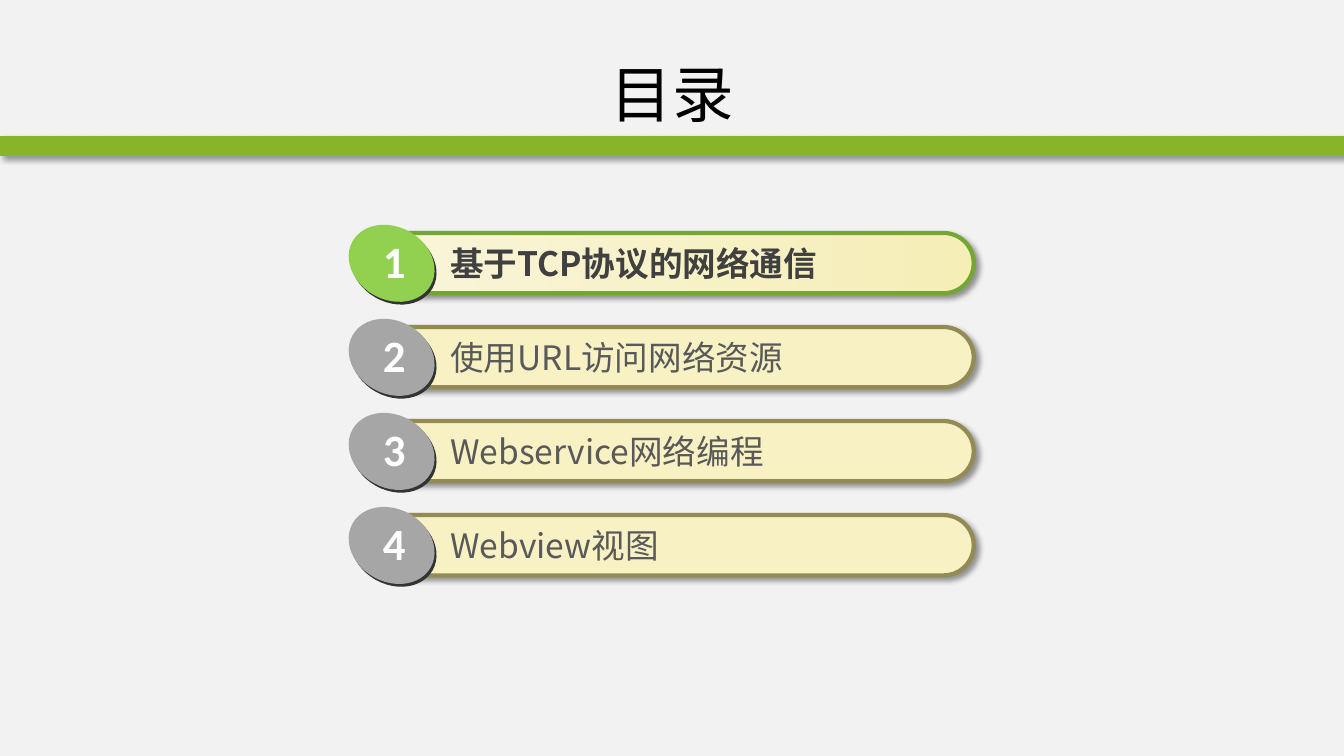
from lxml import etree
from pptx import Presentation
from pptx.dml.color import RGBColor
from pptx.enum.shapes import MSO_SHAPE
from pptx.enum.text import MSO_ANCHOR, MSO_AUTO_SIZE, PP_ALIGN
from pptx.oxml import parse_xml
from pptx.oxml.ns import qn
from pptx.util import Cm, Pt

RECT, ROUND, OVAL = MSO_SHAPE.RECTANGLE, MSO_SHAPE.ROUNDED_RECTANGLE, MSO_SHAPE.OVAL
CENTER, MIDDLE = PP_ALIGN.CENTER, MSO_ANCHOR.MIDDLE
FIT = MSO_AUTO_SIZE.SHAPE_TO_FIT_TEXT
CJK = "Noto Sans CJK SC"
SHADOW = ('<a:outerShdw xmlns:a="http://schemas.openxmlformats.org/drawingml/2006/main" '
          'blurRad="50800" dist="38100" dir="2700000" algn="tl" rotWithShape="0">'
          '<a:srgbClr val="000000"><a:alpha val="40000"/></a:srgbClr></a:outerShdw>')


def add_shape(shapes, kind, x, y, w, h, fill, line=None, shadow=False):
    sp = shapes.add_shape(kind, Cm(x), Cm(y), Cm(w), Cm(h))
    sp.fill.solid()
    sp.fill.fore_color.rgb = RGBColor.from_string(fill)
    if line:
        sp.line.color.rgb = RGBColor.from_string(line)
        sp.line.width = Pt(3)
    else:
        sp.line.fill.background()
    sp.shadow.inherit = False
    if shadow:
        sp._element.spPr.find(qn("a:effectLst")).append(parse_xml(SHADOW))
    return sp


def set_text(tf, text, size, color, font=CJK, bold=False, align=None, wrap=True):
    tf.word_wrap = wrap
    p = tf.paragraphs[0]
    p.alignment = align
    r = p.add_run()
    r.text = text
    r.font.size, r.font.bold, r.font.name = Pt(size), bold, font
    r.font.color.rgb = RGBColor.from_string(color)
    etree.SubElement(r._r.rPr, qn("a:ea"), typeface=font)


prs = Presentation()
prs.slide_width, prs.slide_height = Cm(33.87), Cm(19.05)
s = prs.slides.add_slide(prs.slide_layouts[5])
s.background.fill.solid()
s.background.fill.fore_color.rgb = RGBColor.from_string("F2F2F2")

# Title and the band below it
add_shape(s.shapes, RECT, 0, 3.43, 33.87, 0.5, "88B429", shadow=True)
title = s.shapes.title
title.left, title.top, title.width, title.height = Cm(1.7), Cm(0.76), Cm(30.48), Cm(3.18)
title.text_frame.vertical_anchor = MIDDLE
set_text(title.text_frame, "目录", 44, "000000", align=CENTER)

# Contents: one group per chapter, the first one highlighted
chapters = ["基于TCP协议的网络通信", "使用URL访问网络资源", "Webservice网络编程", "Webview视图"]
for i, chapter in enumerate(chapters):
    current = i == 0
    y = 5.87 + 2.37 * i
    shapes = s.shapes.add_group_shape().shapes

    # Bar with the chapter name
    bar = add_shape(shapes, ROUND, 9.3, y, 15.24, 1.52, "F7F1C4",
                    line="74A731" if current else "948A54", shadow=True)
    bar.adjustments[0] = 0.5
    if current:
        bar.fill.gradient()
        bar.fill.gradient_angle = 0
        for stop, color in zip(bar.fill.gradient_stops, ["F9F5D9", "F5EEB7"]):
            stop.color.rgb = RGBColor.from_string(color)
    name = shapes.add_textbox(Cm(11.1), Cm(y + 0.13), Cm(12.93), Cm(1.28))
    set_text(name.text_frame, chapter, 24, "404040" if current else "595959", bold=current)
    name.text_frame.auto_size = FIT

    # Tilted disc over its dark edge
    disc_color = "92D050" if current else "A6A6A6"
    for x, dy, color in [(8.79, -0.08, "333333"), (8.74, -0.15, disc_color)]:
        disc = add_shape(shapes, OVAL, x, y + dy, 2.26, 1.83, color)
        disc.rotation = 29.3

    # Chapter number
    number = shapes.add_textbox(Cm(9.4), Cm(y - 0.1), Cm(1.09), Cm(1.63))
    set_text(number.text_frame, str(i + 1), 32, "FFFFFF", font="Calibri", bold=True, wrap=False)
    number.text_frame.auto_size = FIT

prs.save("out.pptx")
